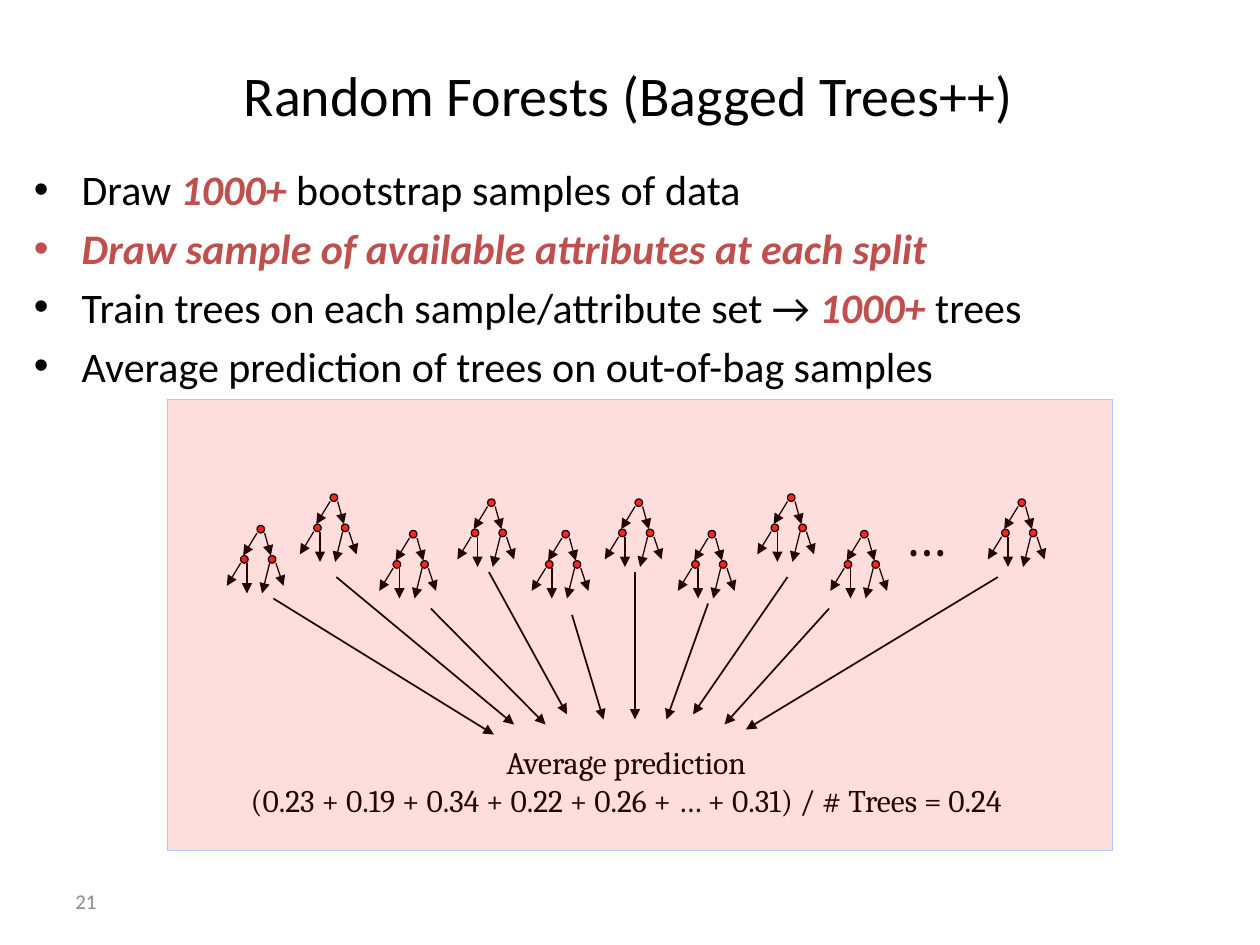
from lxml import etree
from pptx import Presentation
from pptx.dml.color import RGBColor
from pptx.enum.shapes import MSO_CONNECTOR, MSO_SHAPE
from pptx.enum.text import MSO_ANCHOR, PP_ALIGN
from pptx.oxml.ns import qn
from pptx.util import Inches, Pt

STRAIGHT = MSO_CONNECTOR.STRAIGHT
OVAL, RECTANGLE = MSO_SHAPE.OVAL, MSO_SHAPE.RECTANGLE
TOP, MIDDLE = MSO_ANCHOR.TOP, MSO_ANCHOR.MIDDLE
LEFT, CENTER = PP_ALIGN.LEFT, PP_ALIGN.CENTER

COLORS = {"text": "000000", "accent": "C0504D", "muted": "8C8C8C",
          "node": "FB271E", "first_node": "FF1B1B", "panel_line": "ABCBFB"}
NODE_SIZE = 0.06

# Offsets from the top left of a tree's root node
NODES = [(0, 0), (0.09, 0.24), (-0.13, 0.24)]
BRANCHES = [((0, 0.06), (-0.11, 0.24)), ((0.06, 0.06), (0.11, 0.24)),
            ((0.1, 0.3), (0.04, 0.54)), ((0.15, 0.3), (0.21, 0.48)),
            ((-0.13, 0.3), (-0.24, 0.48)), ((-0.08, 0.3), (-0.08, 0.54))]

# Root node of each tree, then the arrow from it to the average
FOREST = [
    ((2.04, 4.17), (2.17, 4.75), (3.92, 5.83)),
    ((2.62, 3.92), (2.67, 4.58), (4.08, 5.75)),
    ((3.25, 4.21), (3.42, 4.83), (4.33, 5.75)),
    ((3.87, 3.96), (3.88, 4.54), (4.5, 5.67)),
    ((4.46, 4.21), (4.54, 4.88), (4.79, 5.71)),
    ((5.04, 3.96), (5.04, 4.54), (5.04, 5.71)),
    ((5.62, 4.21), (5.62, 4.79), (5.29, 5.71)),
    ((6.25, 3.92), (6.25, 4.58), (5.5, 5.67)),
    ((6.83, 4.21), (6.58, 4.83), (5.75, 5.75)),
    ((8.08, 3.96), (7.92, 4.58), (5.92, 5.79)),
]

ACCENT = {"color": "accent", "bold": True, "italic": True}
BULLETS = [
    [("Draw ", {}), ("1000+", ACCENT), (" bootstrap samples of data", {})],
    [("Draw sample of available attributes at each split", ACCENT)],
    [("Train trees on each sample/attribute set → ", {}), ("1000+", ACCENT),
     (" trees", {})],
    [("Average prediction of trees on out-of-bag samples", {})],
]


def rgb(name):
    """Return the named colour."""
    return RGBColor.from_string(COLORS[name])


def add_run(paragraph, text, size=24, font="Calibri", color="text",
            bold=False, italic=False):
    """Append formatted text to a paragraph."""
    run = paragraph.add_run()
    run.text = text
    run.font.size, run.font.name = Pt(size), font
    run.font.bold, run.font.italic = bold, italic
    run.font.color.rgb = rgb(color)


class SlideBuilder:
    """Holds the current slide and its line styles."""

    branch_width = 0.75
    arrow_width = 1

    def __init__(self, slide):
        """Keep the slide to draw on."""
        self.slide = slide

    def text(self, box, lines, anchor=TOP, align=LEFT, wrap=True, bullet=False,
             **style):
        """Add a text box; each line is a list of (text, format) pairs."""
        shape = self.slide.shapes.add_textbox(*map(Inches, box))
        frame = shape.text_frame
        frame.word_wrap, frame.vertical_anchor = wrap, anchor
        for index, line in enumerate(lines):
            paragraph = frame.paragraphs[0] if index == 0 else frame.add_paragraph()
            paragraph.alignment = align
            if bullet:
                self.bullet(paragraph)
            for text, extra in line:
                add_run(paragraph, text, **{**style, **extra})

    def bullet(self, paragraph):
        """Give a paragraph a hanging bullet."""
        paragraph.space_before = Pt(4.8)
        properties = paragraph._p.get_or_add_pPr()
        properties.set("marL", str(Inches(0.38)))
        properties.set("indent", str(Inches(-0.38)))
        etree.SubElement(properties, qn("a:buFont")).set("typeface", "Arial")
        etree.SubElement(properties, qn("a:buChar")).set("char", "•")

    def shape(self, kind, box, fill, line, width, shapes=None):
        """Add a filled and outlined preset shape."""
        shapes = shapes or self.slide.shapes
        shape = shapes.add_shape(kind, *map(Inches, box))
        shape.shadow.inherit = False
        shape.fill.solid()
        shape.fill.fore_color.rgb = rgb(fill)
        shape.line.color.rgb = rgb(line)
        shape.line.width = Pt(width)
        return shape

    def arrow(self, start, end, width, shapes=None):
        """Add a straight line with a triangle at its end."""
        shapes = shapes or self.slide.shapes
        connector = shapes.add_connector(STRAIGHT, *map(Inches, (*start, *end)))
        connector.line.color.rgb = rgb("text")
        connector.line.width = Pt(width)
        outline = connector.line._get_or_add_ln()
        etree.SubElement(outline, qn("a:tailEnd")).set("type", "triangle")
        etree.SubElement(connector._element.spPr, qn("a:effectLst"))

    def tree(self, root, fill):
        """Add one grouped decision tree."""
        left, top = root
        shapes = self.slide.shapes.add_group_shape().shapes
        for x, y in NODES:
            self.shape(OVAL, (left + x, top + y, NODE_SIZE, NODE_SIZE),
                       fill, "text", self.branch_width, shapes)
        for branch in BRANCHES:
            start, end = [(left + x, top + y) for x, y in branch]
            self.arrow(start, end, self.branch_width, shapes)

    def panel(self, box, opacity):
        """Add the translucent panel over the forest."""
        panel = self.shape(RECTANGLE, box, "node", "panel_line", 1)
        color = panel._element.spPr.find(qn("a:solidFill"))[0]
        etree.SubElement(color, qn("a:alpha")).set("val", str(opacity * 1000))


def main():
    """Build and save the slide."""
    presentation = Presentation()
    presentation.slide_width, presentation.slide_height = Inches(10), Inches(7.5)
    slide = presentation.slides.add_slide(presentation.slide_layouts[6])
    builder = SlideBuilder(slide)

    builder.text((0.25, 0.25, 9.48, 1), [[("Random Forests (Bagged Trees++)", {})]],
                 anchor=MIDDLE, align=CENTER, size=32)
    builder.text((0.17, 1.25, 9.62, 6.08), BULLETS, bullet=True)
    builder.text((0.5, 6.95, 2.33, 0.4), [[("21", {})]], anchor=MIDDLE,
                 size=12, color="muted")

    for index, (root, start, end) in enumerate(FOREST):
        builder.tree(root, "node" if index else "first_node")
        builder.arrow(start, end, builder.arrow_width)
    builder.text((7.08, 3.92, 0.65, 0.63), [[("…", {})]], wrap=False,
                 size=32, font="Cambria")
    builder.text((1.73, 5.85, 6.48, 0.7), [
        [("Average prediction", {})],
        [("(0.23 + 0.19 + 0.34 + 0.22 + 0.26 + … + 0.31) / # Trees = 0.24", {})],
    ], align=CENTER, wrap=False, size=18, font="Cambria")
    builder.panel((1.33, 3.17, 7.5, 3.58), opacity=15)

    presentation.save("out.pptx")


main()
